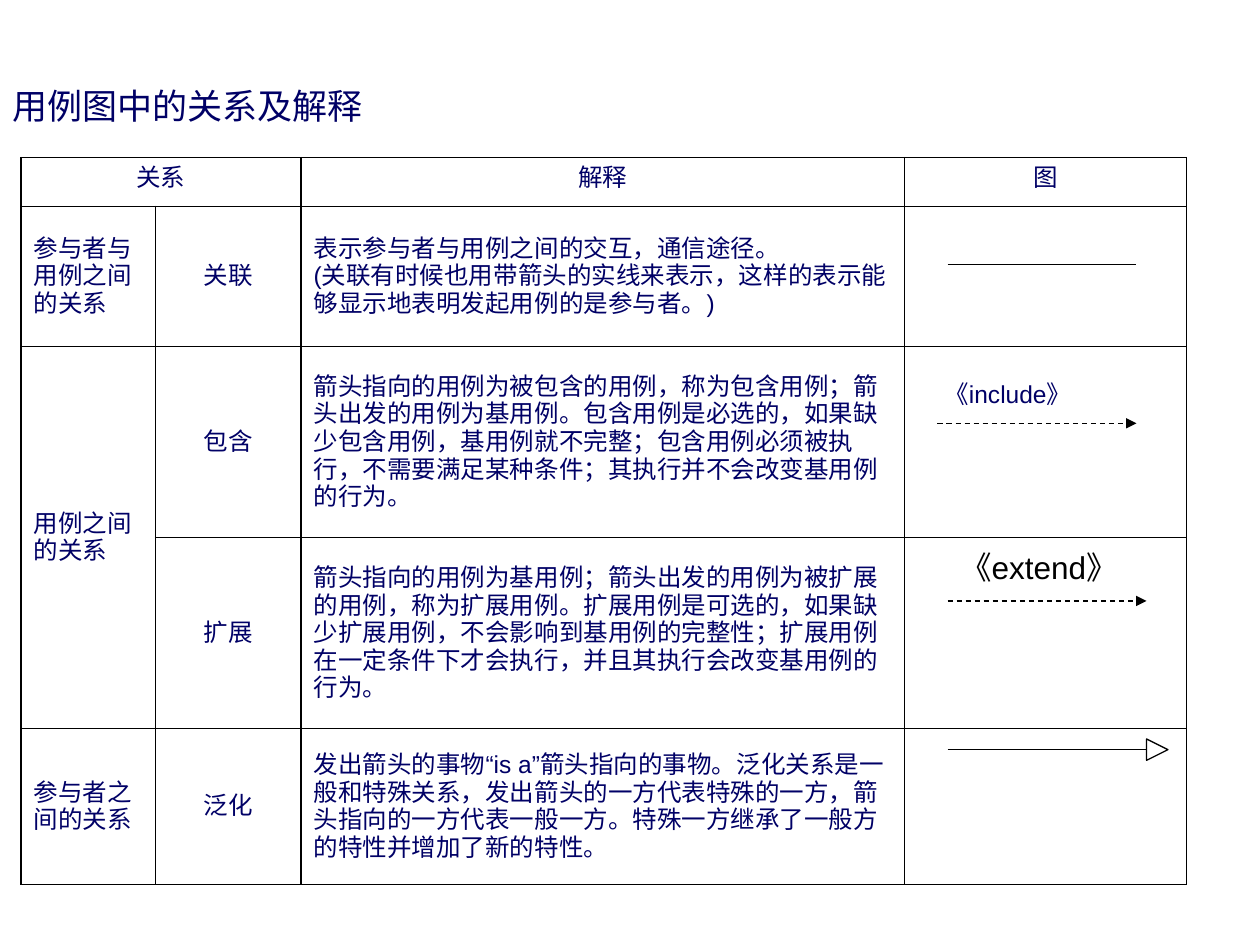
"""Build the slide on use case relations and their meaning."""
from lxml import etree
from pptx import Presentation, util as u
from pptx.dml.color import RGBColor
from pptx.enum import dml, shapes, text
from pptx.oxml import ns

Pt = u.Pt
NAVY, BLACK, WHITE = "000066", "000000", "FFFFFF"


def rgb(value):
    return RGBColor.from_string(value)


def style(tf, size, color, font="Arial", align=None):
    for p in tf.paragraphs:
        p.alignment = align
        p._p.get_or_add_pPr().set("hangingPunct", "0")
        for r in p.runs:
            r.font.size = Pt(size)
            r.font.name = font
            r.font.color.rgb = rgb(color)
            ea = etree.SubElement(r.font._element, ns.qn("a:ea"))
            ea.set("typeface", font)


prs = Presentation()
prs.slide_width, prs.slide_height = Pt(720), Pt(540)
s = prs.slides.add_slide(prs.slide_layouts[6])

title = s.shapes.add_textbox(Pt(0), Pt(40.3), Pt(714.2), Pt(39.6))
tf = title.text_frame
tf.word_wrap = True
tf.vertical_anchor = text.MSO_ANCHOR.MIDDLE
tf.text = "用例图中的关系及解释"
style(tf, 20, NAVY, "Noto Sans CJK SC")

rows = [
    ("关系", "", "解释", "图"),
    ("参与者与用例之间的关系", "关联",
     "表示参与者与用例之间的交互，通信途径。\n"
     "(关联有时候也用带箭头的实线来表示，这样的表示能够显示地表明发起用例的是参与者。)", ""),
    ("用例之间的关系", "包含",
     "箭头指向的用例为被包含的用例，称为包含用例；箭头出发的用例为基用例。"
     "包含用例是必选的，如果缺少包含用例，基用例就不完整；"
     "包含用例必须被执行，不需要满足某种条件；其执行并不会改变基用例的行为。", "《include》"),
    ("", "扩展",
     "箭头指向的用例为基用例；箭头出发的用例为被扩展的用例，称为扩展用例。"
     "扩展用例是可选的，如果缺少扩展用例，不会影响到基用例的完整性；"
     "扩展用例在一定条件下才会执行，并且其执行会改变基用例的行为。", ""),
    ("参与者之间的关系", "泛化",
     "发出箭头的事物“is a”箭头指向的事物。泛化关系是一般和特殊关系，"
     "发出箭头的一方代表特殊的一方，箭头指向的一方代表一般一方。"
     "特殊一方继承了一般方的特性并增加了新的特性。", ""),
]
widths = [77, 83, 345, 161]
heights = [28, 80, 109.2, 109.2, 89]
frame = s.shapes.add_table(len(rows), len(widths), Pt(12), Pt(90),
                           Pt(sum(widths)), Pt(sum(heights)))
table = frame.table
table.first_row = table.horz_banding = False
for column, width in zip(table.columns, widths):
    column.width = Pt(width)
for row, height in zip(table.rows, heights):
    row.height = Pt(height)
table.cell(0, 0).merge(table.cell(0, 1))
table.cell(2, 0).merge(table.cell(3, 0))

for i, row in enumerate(rows):
    for j, words in enumerate(row):
        cell = table.cell(i, j)
        cell.fill.background()
        if i > 0 and j < 3:
            cell.vertical_anchor = text.MSO_ANCHOR.MIDDLE
        if words:
            cell.text_frame.text = words
            centred = i == 0 or j == 1
            style(cell.text_frame, 14, NAVY,
                  align=text.PP_ALIGN.CENTER if centred else None)
        thin = {"T": j == 0 and i in (2, 4), "B": j == 0 and i in (1, 2, 3)}
        tcPr = cell._tc.get_or_add_tcPr()
        for k, side in enumerate("LRTB"):
            ln = etree.Element(ns.qn(f"a:ln{side}"))
            ln.set("w", str(Pt(0.45 if thin.get(side) else 0.96)))
            fill = etree.SubElement(ln, ns.qn("a:solidFill"))
            etree.SubElement(fill, ns.qn("a:srgbClr")).set("val", BLACK)
            tcPr.insert(k, ln)

include = table.cell(2, 3)
include.margin_left, include.margin_top = Pt(22.7), Pt(20)

extend = s.shapes.add_textbox(Pt(541.5), Pt(309.6), Pt(113.8), Pt(61.9))
tf = extend.text_frame
tf.word_wrap = True
tf.text = "《extend》"
style(tf, 18, BLACK)

arrows = [
    (541.5, 649.4, 151.2, False),
    (535.7, 649.4, 241.9, True),
    (541.5, 655.2, 343.4, True),
    (541.5, 655.2, 428.4, False),
]
for left, right, y, dashed in arrows:
    line = s.shapes.add_connector(shapes.MSO_CONNECTOR.STRAIGHT,
                                  Pt(left), Pt(y), Pt(right), Pt(y))
    line.line.color.rgb = rgb(BLACK)
    line.line.width = Pt(0.75)
    if dashed:
        line.line.dash_style = dml.MSO_LINE.DASH
        tail = etree.SubElement(line.line._get_or_add_ln(), ns.qn("a:tailEnd"))
        tail.set("type", "triangle")
    etree.SubElement(line._element.spPr, ns.qn("a:effectLst"))

head = s.shapes.add_shape(shapes.MSO_SHAPE.ISOSCELES_TRIANGLE,
                          Pt(655.2), Pt(422.3), Pt(12.2), Pt(12.2))
head.rotation = 90
head.shadow.inherit = False
head.fill.solid()
head.fill.fore_color.rgb = rgb(WHITE)
head.line.color.rgb = rgb(BLACK)
head.line.width = Pt(0.75)

prs.save("out.pptx")
